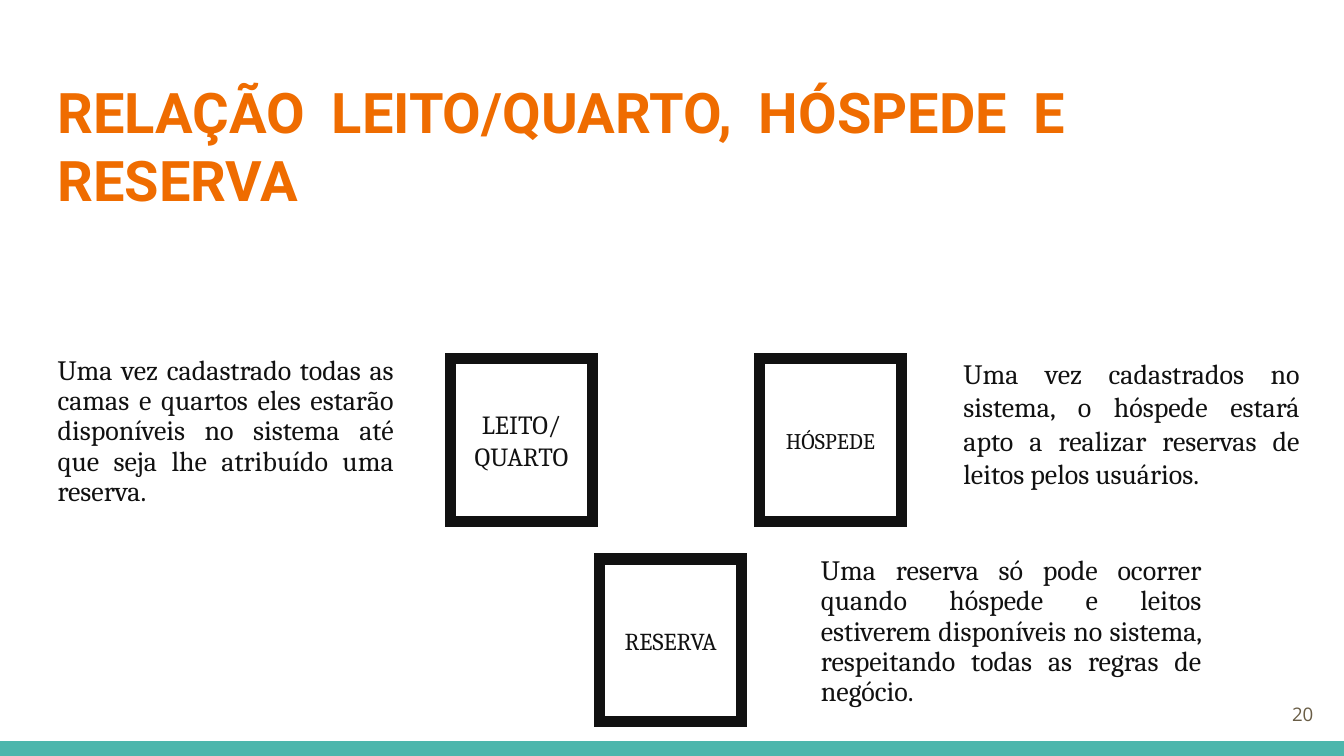
from lxml import etree
from pptx import Presentation
from pptx.dml.color import RGBColor
from pptx.enum import shapes, text
from pptx.oxml.ns import qn
from pptx.util import Inches, Pt

COLORS = {
    "background": "FFFFFF",
    "bar": "4DB6AC",
    "ink": "111111",
    "title": "EF6C00",
    "number": "695D46",
}
SLIDE_WIDTH = 10
SLIDE_HEIGHT = SLIDE_WIDTH * 9 / 16
ENTITY_SIZE = (1.06, 1.21)
NOTE_HEIGHT = 1.44

# label lines, left, top, text size
ENTITIES = [
    (["RESERVA"], 4.46, 4.16, 13),
    (["LEITO/", "QUARTO"], 3.35, 2.67, 14),
    (["HÓSPEDE"], 5.65, 2.67, 12),
]
# wording, left, top, width, line spacing
NOTES = [
    ("Uma vez cadastrado todas as camas e quartos eles estarão disponíveis "
     "no sistema até que seja lhe atribuído uma reserva.", 0.33, 2.55, 2.7, 0.9),
    ("Uma vez cadastrados no sistema, o hóspede estará apto a realizar "
     "reservas de leitos pelos usuários.", 7.07, 2.55, 2.7, 1.0),
    ("Uma reserva só pode ocorrer quando hóspede e leitos estiverem "
     "disponíveis no sistema, respeitando todas as regras de negócio.",
     6.01, 4.04, 3.03, 0.9),
]


def color(name):
    return RGBColor.from_string(COLORS[name])


def write(shape, lines, size, font="Cambria", ink="ink", bold=False,
          align=text.PP_ALIGN.JUSTIFY, anchor=text.MSO_ANCHOR.TOP, spacing=1.0):
    """Fill a shape with one paragraph per line, all in one style."""
    frame = shape.text_frame
    frame.word_wrap = True
    frame.vertical_anchor = anchor
    frame.margin_left = frame.margin_right = Inches(0.1)
    frame.margin_top = frame.margin_bottom = Inches(0.1)
    frame.text = "\n".join(lines)
    for para in frame.paragraphs:
        para.alignment = align
        para.line_spacing = spacing
        for span in para.runs:
            span.font.name = font
            span.font.size = Pt(size)
            span.font.bold = bold
            span.font.color.rgb = color(ink)


def add_rectangle(page, left, top, width, height):
    box = page.shapes.add_shape(
        shapes.MSO_SHAPE.RECTANGLE,
        Inches(left), Inches(top), Inches(width), Inches(height))
    box.shadow.inherit = False
    return box


def add_text(page, words, left, top, width, height, size, **style):
    box = page.shapes.add_textbox(
        Inches(left), Inches(top), Inches(width), Inches(height))
    write(box, [words], size, **style)


def add_bottom_bar(page, height=0.11):
    bar = add_rectangle(page, 0, SLIDE_HEIGHT - height, SLIDE_WIDTH, height)
    bar.fill.solid()
    bar.fill.fore_color.rgb = color("bar")
    bar.line.fill.background()


def add_entity(page, lines, left, top, size):
    """Draw a labelled square-cornered frame."""
    box = add_rectangle(page, left, top, *ENTITY_SIZE)
    box.fill.background()
    box.line.color.rgb = color("ink")
    box.line.width = Pt(6)
    outline = box.line._get_or_add_ln()
    etree.SubElement(outline, qn("a:miter"), lim="800000")
    write(box, lines, size, align=text.PP_ALIGN.CENTER,
          anchor=text.MSO_ANCHOR.MIDDLE)


def add_note(page, words, left, top, width, spacing):
    add_text(page, words, left, top, width, NOTE_HEIGHT, 15, spacing=spacing)


def build_relation_slide(deck):
    page = deck.slides.add_slide(deck.slide_layouts[6])
    page.background.fill.solid()
    page.background.fill.fore_color.rgb = color("background")
    add_bottom_bar(page)
    for entity in ENTITIES:
        add_entity(page, *entity)
    for note in NOTES:
        add_note(page, *note)
    add_text(page, "RELAÇÃO LEITO/QUARTO, HÓSPEDE E RESERVA",
             0.33, 0.48, 7.7, 0.91, 30, font="Roboto", ink="title", bold=True)
    add_text(page, "20", 9.27, 5.1, 0.6, 0.43, 10, font="Open Sans",
             ink="number", align=text.PP_ALIGN.RIGHT,
             anchor=text.MSO_ANCHOR.MIDDLE)


def main():
    deck = Presentation()
    deck.slide_width = Inches(SLIDE_WIDTH)
    deck.slide_height = Inches(SLIDE_HEIGHT)
    build_relation_slide(deck)
    deck.save("out.pptx")


if __name__ == "__main__":
    main()
